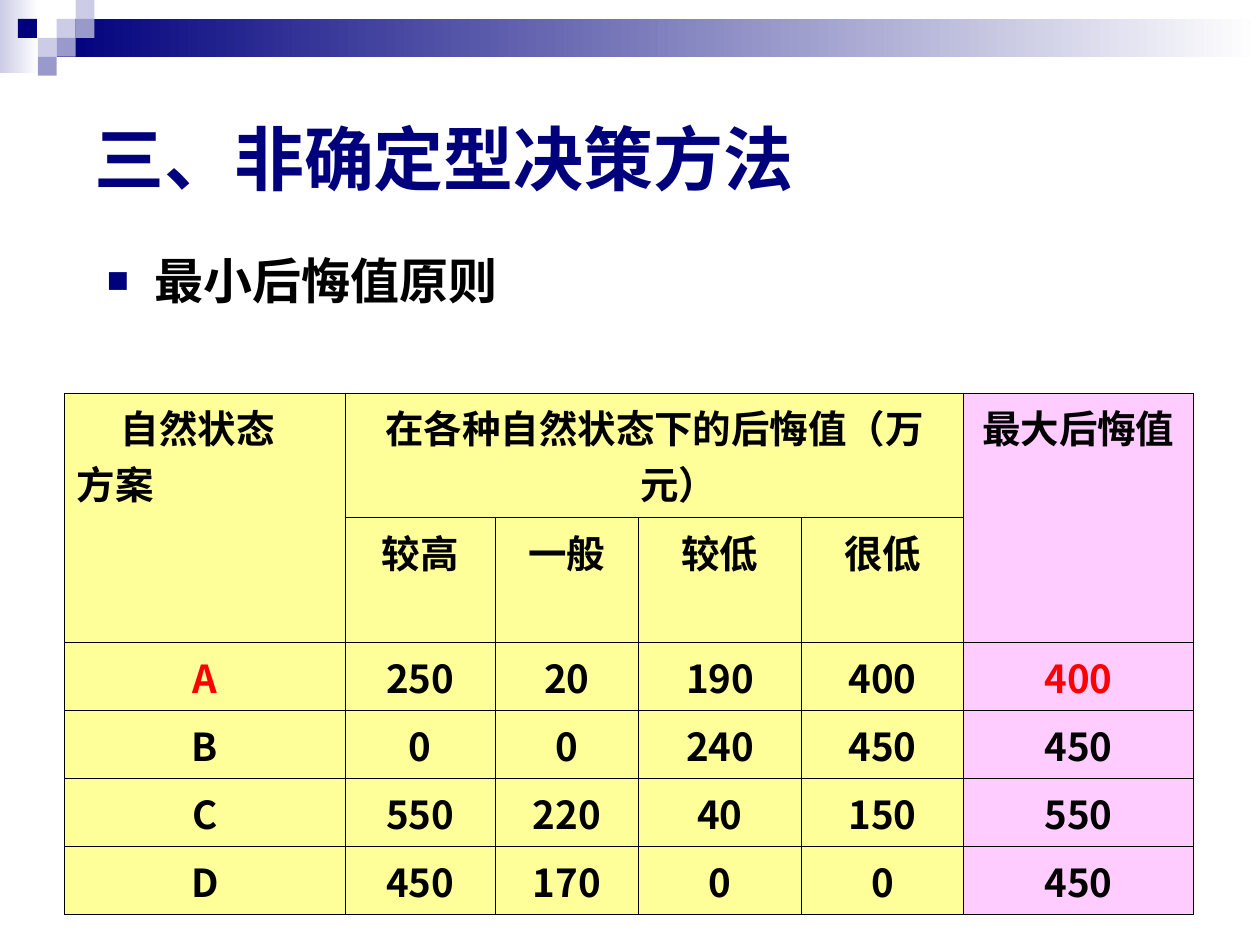
from dataclasses import dataclass
from itertools import product

from lxml.etree import SubElement
from pptx import Presentation
from pptx.dml.color import RGBColor
from pptx.enum.shapes import MSO_SHAPE
from pptx.enum.text import MSO_ANCHOR, PP_ALIGN
from pptx.oxml.ns import qn
from pptx.util import Inches, Pt


@dataclass(frozen=True)
class Theme:
    navy: str = "00007D"
    lavender: str = "9999CC"
    mist: str = "CCCCE6"
    white: str = "FFFFFF"
    black: str = "000000"
    red: str = "FF0000"
    yellow: str = "FFFF99"
    pink: str = "FFCCFF"
    heading_font: str = "Arial"
    table_font: str = "Noto Sans CJK SC"
    title_size: float = 40
    principle_size: float = 28
    table_size: float = 22
    border_width: float = 0.45


@dataclass(frozen=True)
class Tile:
    column: float
    row: float
    color: str
    columns: float = 1
    rows: float = 1
    fades: bool = False


@dataclass(frozen=True)
class Entry:
    row: int
    column: int
    lines: tuple[str, ...]
    rows: int = 1
    columns: int = 1
    color: str = Theme.black


THEME = Theme()
TILE_SIZE = 0.15
HANGING = 0.38
STATE_INDENT = 0.35
COLUMN_WIDTHS = (2.23, 1.19, 1.14, 1.29, 1.29, 1.82)
ROW_HEIGHTS = (0.99, 0.99, 0.54, 0.54, 0.54, 0.54)

TILES = (
    Tile(0, 0, THEME.mist, 2.05, 3.87, True),
    Tile(3, 1, THEME.navy, 63.67, 2, True),
    Tile(3, 1, THEME.mist),
    Tile(4, 0, THEME.mist),
    Tile(4, 1, THEME.lavender),
    Tile(2, 2, THEME.mist),
    Tile(0.95, 1, THEME.navy),
    Tile(3, 2, THEME.lavender),
    Tile(2, 3, THEME.lavender),
)

HEADERS = (
    Entry(0, 0, ("自然状态", "方案"), rows=2),
    Entry(0, 1, ("在各种自然状态下的后悔值（万元）",), columns=4),
    Entry(0, 5, ("最大后悔值",), rows=2),
)
STATES = ("较高", "一般", "较低", "很低")
REGRETS = {
    "A": (250, 20, 190, 400),
    "B": (0, 0, 240, 450),
    "C": (550, 220, 40, 150),
    "D": (450, 170, 0, 0),
}


def rgb(color: str) -> RGBColor:
    return RGBColor.from_string(color)


def draw_tile(slide, tile: Tile) -> None:
    box = (tile.column, tile.row, tile.columns, tile.rows)
    block = slide.shapes.add_shape(
        MSO_SHAPE.RECTANGLE, *(Inches(length * TILE_SIZE) for length in box))
    block.shadow.inherit = False
    block.line.fill.background()
    if tile.fades:
        block.fill.gradient()
        block.fill.gradient_angle = 0
        for stop, color in zip(block.fill.gradient_stops, (tile.color, THEME.white)):
            stop.color.rgb = rgb(color)
    else:
        block.fill.solid()
        block.fill.fore_color.rgb = rgb(tile.color)


def add_words(paragraph, words: str, font: str, size: float, color: str) -> None:
    run = paragraph.add_run()
    run.text = words
    run.font.name = font
    run.font.size = Pt(size)
    run.font.bold = True
    run.font.color.rgb = rgb(color)
    SubElement(run._r.get_or_add_rPr(), qn("a:ea"), typeface=THEME.table_font)


def set_indent(paragraph, margin: float, first: float) -> None:
    properties = paragraph._p.get_or_add_pPr()
    properties.set("marL", str(Inches(margin)))
    properties.set("indent", str(Inches(first)))


def add_heading(slide, box: tuple, words: str, size: float, color: str, anchor):
    frame = slide.shapes.add_textbox(*map(Inches, box)).text_frame
    frame.word_wrap = True
    frame.vertical_anchor = anchor
    paragraph = frame.paragraphs[0]
    add_words(paragraph, words, THEME.heading_font, size, color)
    return paragraph


def add_bullet(paragraph) -> None:
    set_indent(paragraph, HANGING, -HANGING)
    properties = paragraph._p.get_or_add_pPr()
    tint = SubElement(properties, qn("a:buClr"))
    SubElement(tint, qn("a:srgbClr"), val=THEME.navy)
    SubElement(properties, qn("a:buSzPct"), val="75000")
    SubElement(properties, qn("a:buFont"), typeface=THEME.heading_font)
    SubElement(properties, qn("a:buChar"), char="■")


def style_cell(cell, color: str) -> None:
    properties = cell._tc.get_or_add_tcPr()
    for side in ("lnL", "lnR", "lnT", "lnB"):
        border = SubElement(properties, qn(f"a:{side}"), w=str(Pt(THEME.border_width)))
        SubElement(SubElement(border, qn("a:solidFill")), qn("a:srgbClr"), val=THEME.black)
    cell.fill.solid()
    cell.fill.fore_color.rgb = rgb(color)


def fill_entry(table, entry: Entry) -> None:
    cell = table.cell(entry.row, entry.column)
    if entry.rows * entry.columns > 1:
        cell.merge(table.cell(entry.row + entry.rows - 1, entry.column + entry.columns - 1))
    frame = cell.text_frame
    is_corner = len(entry.lines) > 1
    for index, words in enumerate(entry.lines):
        paragraph = frame.add_paragraph() if index else frame.paragraphs[0]
        paragraph.alignment = PP_ALIGN.LEFT if is_corner else PP_ALIGN.CENTER
        if is_corner and index == 0:
            set_indent(paragraph, STATE_INDENT, 0)
        elif entry.column < len(COLUMN_WIDTHS) - 1:
            set_indent(paragraph, HANGING, -HANGING)
        add_words(paragraph, words, THEME.table_font, THEME.table_size, entry.color)


def regret_entries() -> list[Entry]:
    entries = [Entry(1, column, (state,)) for column, state in enumerate(STATES, 1)]
    best = min(map(max, REGRETS.values()))
    for row, (plan, regrets) in enumerate(REGRETS.items(), 2):
        worst = max(regrets)
        accent = THEME.red if worst == best else THEME.black
        for column, value in enumerate((plan, *regrets, worst)):
            color = accent if column in (0, 5) else THEME.black
            entries.append(Entry(row, column, (str(value),), color=color))
    return entries


def add_regret_table(slide) -> None:
    table = slide.shapes.add_table(
        len(ROW_HEIGHTS), len(COLUMN_WIDTHS), Inches(0.51), Inches(3.12),
        Inches(sum(COLUMN_WIDTHS)), Inches(sum(ROW_HEIGHTS))).table
    table.first_row = table.horz_banding = False
    for column, width in zip(table.columns, COLUMN_WIDTHS):
        column.width = Inches(width)
    for row, height in zip(table.rows, ROW_HEIGHTS):
        row.height = Inches(height)
    for row, column in product(range(len(ROW_HEIGHTS)), range(len(COLUMN_WIDTHS))):
        style_cell(table.cell(row, column), THEME.pink if column == 5 else THEME.yellow)
    for entry in (*HEADERS, *regret_entries()):
        fill_entry(table, entry)


deck = Presentation()
deck.slide_width, deck.slide_height = Inches(10), Inches(7.5)
regret_slide = deck.slides.add_slide(deck.slide_layouts[6])
for tile in TILES:
    draw_tile(regret_slide, tile)
add_heading(regret_slide, (0.65, 0.5, 9, 1.5), "三、非确定型决策方法",
            THEME.title_size, THEME.navy, MSO_ANCHOR.MIDDLE)
principle = add_heading(regret_slide, (0.75, 1.94, 8.76, 0.71), "最小后悔值原则",
                        THEME.principle_size, THEME.black, MSO_ANCHOR.TOP)
add_bullet(principle)
add_regret_table(regret_slide)
deck.save("out.pptx")
